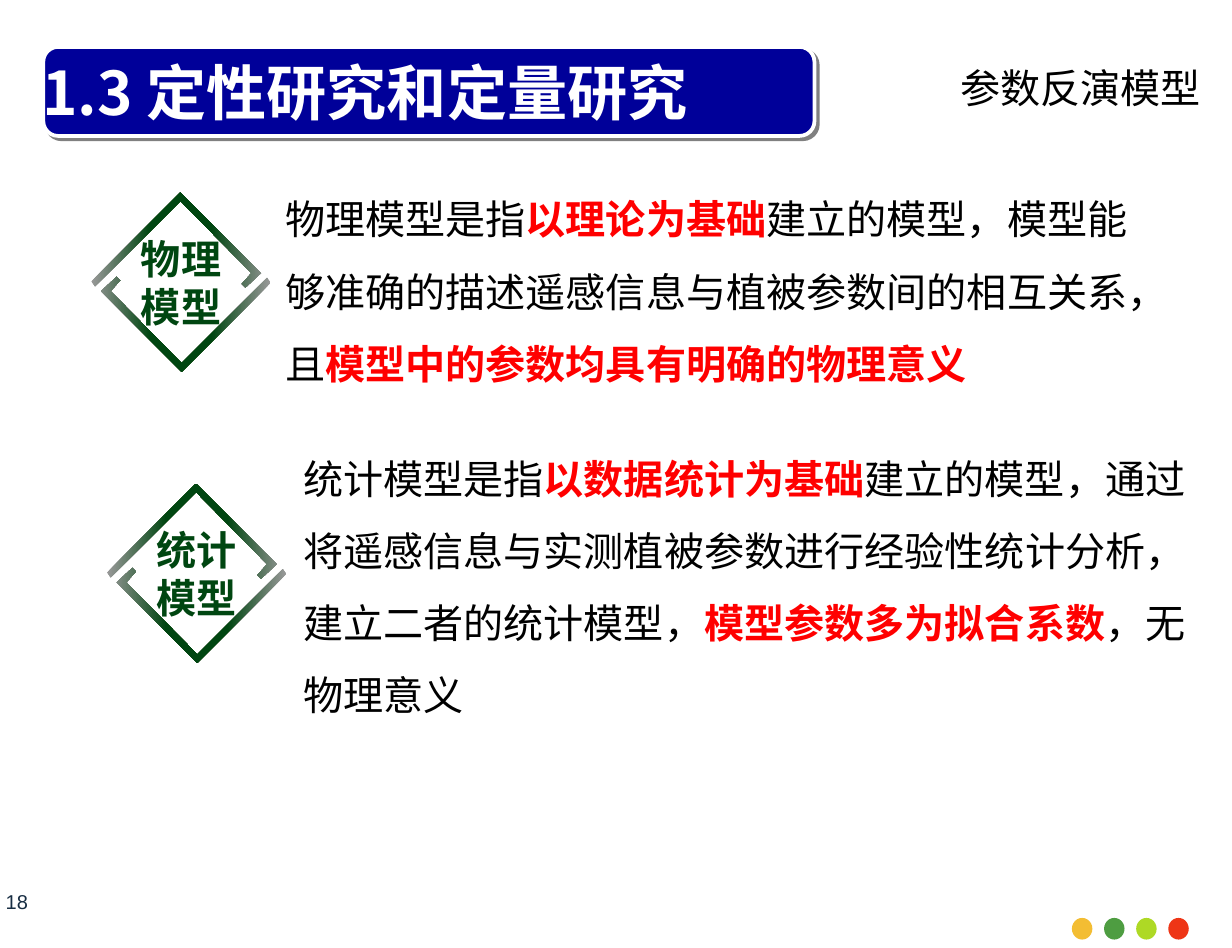
from pptx import Presentation, oxml, util as u
from pptx.dml import color
from pptx.enum import shapes, text
from pptx.oxml import ns

Inches = u.Inches
BLACK, RED, WHITE, GREEN = "000000", "FF0000", "FFFFFF", "004611"
SANS, SERIF = "Noto Sans CJK SC", "Times New Roman"
LEFT, CENTER, RIGHT = text.PP_ALIGN.LEFT, text.PP_ALIGN.CENTER, text.PP_ALIGN.RIGHT
TOP, MIDDLE = text.MSO_ANCHOR.TOP, text.MSO_ANCHOR.MIDDLE


def rgb(value):
    return color.RGBColor.from_string(value)


def write(shape, lines, size, align=LEFT, spacing=1.0, **frame_format):
    frame = shape.text_frame
    frame_values = {"auto_size": text.MSO_AUTO_SIZE.NONE, "word_wrap": True,
                    "vertical_anchor": MIDDLE, **frame_format}
    for name, value in frame_values.items():
        setattr(frame, name, value)
    for index, runs in enumerate(lines):
        paragraph = frame.add_paragraph() if index else frame.paragraphs[0]
        paragraph.alignment = align
        paragraph.line_spacing = spacing
        for words, font_name, font_color, bold in runs:
            run = paragraph.add_run()
            run.text = words
            font_values = {"name": font_name, "size": u.Pt(size), "bold": bold}
            for name, value in font_values.items():
                setattr(run.font, name, value)
            run.font.color.rgb = rgb(font_color)
            east_asian = oxml.parse_xml(f'<a:ea {ns.nsdecls("a")} typeface="{SANS}"/>')
            run.font._element.append(east_asian)


presentation = Presentation()
presentation.slide_width = Inches(10.24)
presentation.slide_height = Inches(7.88)
slide = presentation.slides.add_slide(presentation.slide_layouts[5])

banner = slide.shapes.add_shape(shapes.MSO_SHAPE.ROUNDED_RECTANGLE,
                                Inches(0.36), Inches(0.39), Inches(6.41), Inches(0.74))
banner.fill.solid()
banner.fill.fore_color.rgb = rgb("000099")
banner.line.color.rgb = rgb(WHITE)
banner.line.width = u.Pt(2.25)
banner._element.spPr.append(oxml.parse_xml(
    f'<a:effectLst {ns.nsdecls("a")}><a:outerShdw dist="35560" dir="2700000" algn="ctr" '
    'rotWithShape="0"><a:srgbClr val="808080"/></a:outerShdw></a:effectLst>'))

for index, dot_color in enumerate(["F3BD33", "4E9D41", "AED925", "EE3516"]):
    dot = slide.shapes.add_shape(shapes.MSO_SHAPE.OVAL, Inches(8.91 + 0.267 * index),
                                 Inches(7.63), Inches(0.17), Inches(0.18))
    dot.shadow.inherit = False
    dot.fill.solid()
    dot.fill.fore_color.rgb = rgb(dot_color)
    dot.line.fill.background()

number = slide.shapes.add_textbox(0, Inches(7.41), Inches(0.28), Inches(0.16))
write(number, [[("18", "Arial", "182E43", False)]], 12, CENTER, word_wrap=False)

half_frame = [(74, 0), (141, 67), (128, 79), (125, 76), (133, 67), (74, 7), (3, 78), (0, 74)]
other_half = [(149 - x, 149 - y) for x, y in half_frame]
gradient_stops = "".join(
    f'<a:gs pos="{position}"><a:srgbClr val="{stop_color}"/></a:gs>'
    for position, stop_color in [(0, "999999"), (33000, GREEN), (67000, GREEN), (100000, "999999")])

for left, top, label in [(0.76, 1.6, "物理"), (0.89, 4.02, "统计")]:
    builder = slide.shapes.build_freeform(*half_frame[0], scale=Inches(0.01))
    builder.add_line_segments(half_frame[1:])
    builder.move_to(*other_half[0])
    builder.add_line_segments(other_half[1:])
    diamond = builder.convert_to_shape(Inches(left), Inches(top))
    diamond.shadow.inherit = False
    diamond.line.fill.background()
    diamond._element.spPr.find(ns.qn("a:custGeom")).addnext(oxml.parse_xml(
        f'<a:gradFill {ns.nsdecls("a")} rotWithShape="1"><a:gsLst>{gradient_stops}</a:gsLst>'
        '<a:lin ang="0" scaled="1"/></a:gradFill>'))
    write(diamond, [[(words, SANS, GREEN, True)] for words in (label, "模型")], 24, CENTER)

physical_model = [
    ("物理模型是指", SERIF, BLACK, False),
    ("以理论为基础", SERIF, RED, True),
    ("建立的模型，", SERIF, BLACK, False),
    ("模型能够准确的描述遥感信息与植被参数间的相互关系，且", "Arial", BLACK, False),
    ("模型中的参数均具有明确的物理意义", SERIF, RED, True),
]
statistical_model = [
    ("统计模型是指", SERIF, BLACK, False),
    ("以数据统计为基础", SERIF, RED, True),
    ("建立的模型，通过将遥感信息与实测植被参数进行经验性统计分析，建立二者的统计模型，",
     SERIF, BLACK, False),
    ("模型参数多为拟合系数", SERIF, RED, True),
    ("，无物理意义", SERIF, BLACK, False),
]
no_margins = dict.fromkeys(["margin_left", "margin_top", "margin_right", "margin_bottom"], 0)
for left, top, width, height, runs in [(2.37, 1.4, 7.01, 1.84, physical_model),
                                       (2.52, 4.41, 7.64, 0.73, statistical_model)]:
    description = slide.shapes.add_textbox(Inches(left), Inches(top),
                                           Inches(width), Inches(height))
    write(description, [runs], 24, spacing=1.5, **no_margins)

title = slide.shapes.title
title_place = {"left": 0.25, "top": 0.36, "width": 6.97, "height": 0.8}
for name, value in title_place.items():
    setattr(title, name, Inches(value))
write(title, [[("1.3 定性研究和定量研究", SANS, WHITE, True)]], 36)
slide.shapes._spTree.append(title._element)

topic = slide.shapes.add_textbox(Inches(7.88), Inches(0.48), Inches(2.2), Inches(0.5))
write(topic, [[("参数反演模型", "Calibri", BLACK, False)]], 24, RIGHT, vertical_anchor=TOP)

presentation.save("out.pptx")
